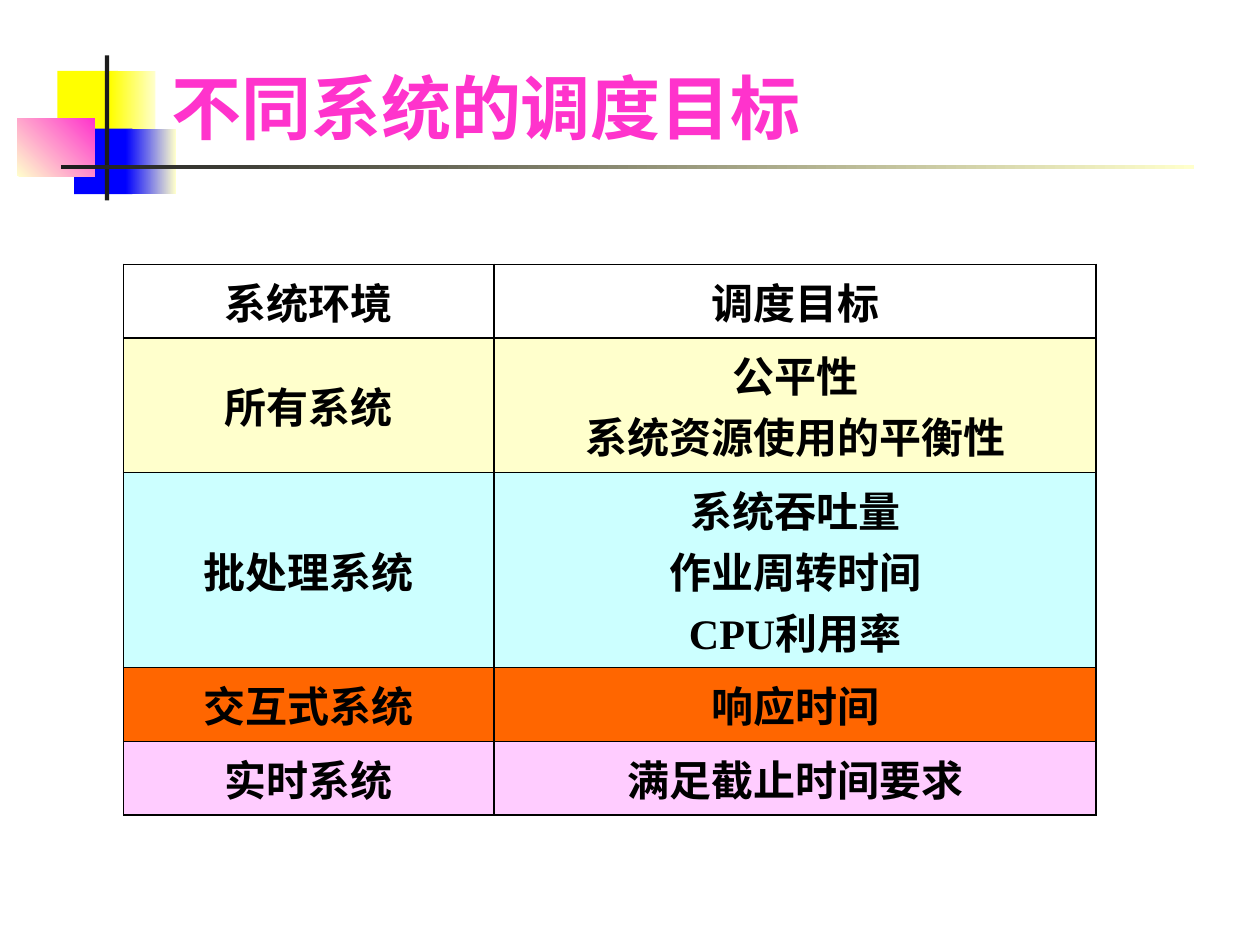
from lxml import etree
from pptx import Presentation
from pptx.dml.color import RGBColor
from pptx.enum import shapes, text
from pptx.oxml import ns
from pptx.util import Pt

CREAM, INK, PINK = "FFFFCC", "1C1C1C", "FF33CC"
YELLOW, BLUE = "FFFF00", "0000FF"
CENTRE = {"alignment": text.PP_ALIGN.CENTER}
MIDDLE = {"vertical_anchor": text.MSO_ANCHOR.MIDDLE}
TITLE_FONT = {"name": "Lato", "size": Pt(40), "bold": True}
CELL_FONT = {"name": "Times New Roman", "size": Pt(24), "bold": True}
ROWS = [
    ("FFFFFF", "系统环境", ["调度目标"]),
    (CREAM, "所有系统", ["公平性", "系统资源使用的平衡性"]),
    ("CCFFFF", "批处理系统", ["系统吞吐量", "作业周转时间", "CPU利用率"]),
    ("FF6600", "交互式系统", ["响应时间"]),
    ("FFCCFF", "实时系统", ["满足截止时间要求"]),
]


def colour(value):
    """Turn a hex string into a colour."""
    return RGBColor.from_string(value)


def apply(target, values):
    """Set each attribute of the target from a dict."""
    for name, value in values.items():
        setattr(target, name, value)


def place(shape, box):
    """Move and size a shape to a box in points."""
    apply(shape, dict(zip(("left", "top", "width", "height"), map(Pt, box))))


def add_block(slide, box, colours, angle=0):
    """Add a borderless rectangle with one colour or a two-colour gradient."""
    shape = slide.shapes.add_shape(shapes.MSO_SHAPE.RECTANGLE, *map(Pt, box))
    shape.shadow.inherit = False
    shape.line.fill.background()
    if len(colours) == 1:
        shape.fill.solid()
        shape.fill.fore_color.rgb = colour(colours[0])
        return
    shape.fill.gradient()
    shape.fill.gradient_angle = angle
    for stop, value in zip(shape.fill.gradient_stops, colours):
        stop.color.rgb = colour(value)


def add_emblem(slide, left, top):
    """Add the overlapping squares and crossing bars of the header."""
    blocks = [
        ((23, 8.8, 34.6, 37.4), [YELLOW], 0),
        ((53.2, 8.8, 25.8, 37.4), [YELLOW, CREAM], 0),
        ((32.6, 41.8, 33.2, 37.4), [BLUE], 0),
        ((62, 41.8, 28.7, 37.4), [BLUE, CREAM], 0),
        ((0, 35.8, 44.4, 33.4), [CREAM, PINK], 45),
        ((50.1, 0, 2.5, 82.8), [INK], 0),
        ((24.8, 62.8, 648, 2.2), [INK, CREAM], 0),
    ]
    for (x, y, width, height), colours, angle in blocks:
        add_block(slide, (left + x, top + y, width, height), colours, angle)


def fill_title(slide, box):
    """Place and format the title."""
    title = slide.shapes.title
    place(title, box)
    frame = title.text_frame
    frame.text = "不同系统的调度目标"
    apply(frame, {"vertical_anchor": text.MSO_ANCHOR.BOTTOM, "word_wrap": True,
                  "auto_size": text.MSO_AUTO_SIZE.NONE})
    paragraph = frame.paragraphs[0]
    paragraph.alignment = text.PP_ALIGN.LEFT
    font = paragraph.runs[0].font
    apply(font, TITLE_FONT)
    font.color.rgb = colour(PINK)


def add_borders(cell):
    """Draw a thin black line on every side of a cell."""
    properties = cell._tc.get_or_add_tcPr()
    for index, side in enumerate(("lnL", "lnR", "lnT", "lnB")):
        line = etree.Element(ns.qn("a:" + side), w=str(Pt(1)))
        fill = etree.SubElement(line, ns.qn("a:solidFill"))
        etree.SubElement(fill, ns.qn("a:srgbClr"), val="000000")
        properties.insert(index, line)


def fill_cell(cell, lines, fill):
    """Write centred lines into a filled and bordered cell."""
    cell.text = "\n".join(lines)
    apply(cell, MIDDLE)
    for paragraph in cell.text_frame.paragraphs:
        apply(paragraph, CENTRE)
        font = paragraph.runs[0].font
        apply(font, CELL_FONT)
        font.color.rgb = colour("000000")
    cell.fill.solid()
    cell.fill.fore_color.rgb = colour(fill)
    add_borders(cell)


def add_goal_table(slide, box):
    """Add the table of systems and their scheduling goals."""
    table = slide.shapes.add_table(len(ROWS), 2, *map(Pt, box)).table
    apply(table, {"first_row": False, "horz_banding": False})
    first_width = 211.7
    for column, width in zip(table.columns, (first_width, box[2] - first_width)):
        column.width = Pt(width)
    for index, (fill, system, goals) in enumerate(ROWS):
        table.rows[index].height = Pt(36 + 28.8 * (len(goals) - 1))
        fill_cell(table.cell(index, 0), [system], fill)
        fill_cell(table.cell(index, 1), goals, fill)


def main():
    """Build and save the slide."""
    presentation = Presentation()
    apply(presentation, {"slide_width": Pt(720), "slide_height": Pt(540)})
    slide = presentation.slides.add_slide(presentation.slide_layouts[5])
    add_emblem(slide, 9.8, 31.7)
    fill_title(slide, (90.7, 20.2, 613.4, 68.4))
    add_goal_table(slide, (70.6, 151, 555.8, 266.4))
    presentation.save("out.pptx")


main()
